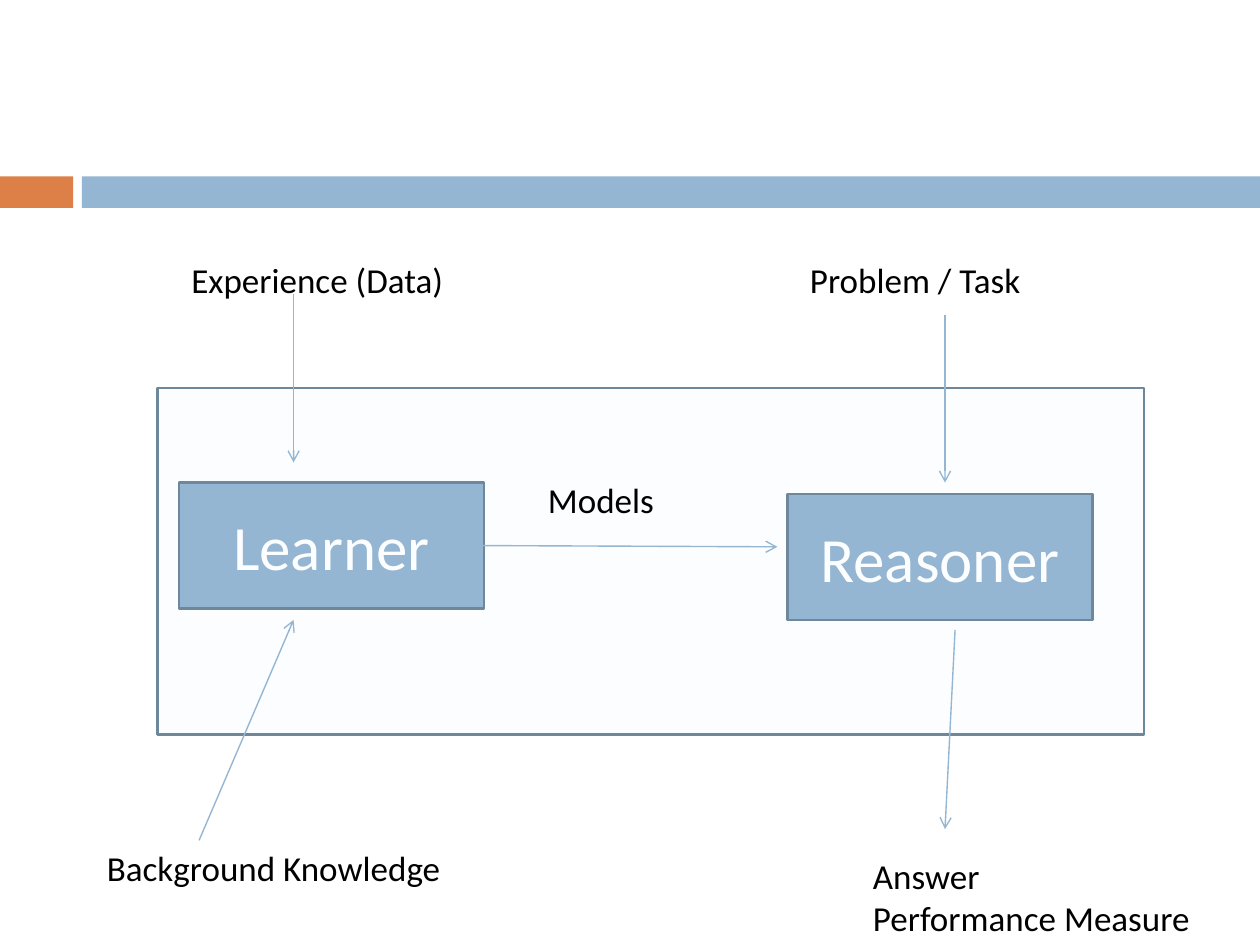
from lxml import etree
from pptx import Presentation
from pptx.dml.color import RGBColor
from pptx.enum.shapes import MSO_CONNECTOR, MSO_SHAPE
from pptx.enum.text import MSO_ANCHOR, MSO_AUTO_SIZE, PP_ALIGN
from pptx.oxml.ns import qn
from pptx.util import Inches, Pt

FONT = "Calibri"
COLORS = {"blue": "94B6D2", "edge": "6D879B", "orange": "DD8047",
          "white": "FFFFFF", "black": "000000"}

# Lengths in inches: left, top, width, height
BANDS = [("orange", (0, 1.4, 0.58, 0.25)), ("blue", (0.65, 1.4, 9.35, 0.25))]
SYSTEM_FRAME = (1.25, 3.08, 7.83, 2.75)
FRAME_OPACITY = 2  # percent
PROCESS_SIZE = (2.42, 1)
PROCESSES = [("Learner", (1.42, 3.83)), ("Reasoner", (6.25, 3.92))]
LABELS = [
    ("Experience (Data)", (1.42, 2, 2.42, 0.44)),
    ("Problem / Task", (6.33, 2, 2.08, 0.44)),
    ("Answer\nPerformance Measure", (6.83, 6.73, 2.92, 0.77)),
    ("Background Knowledge", (0.75, 6.67, 3.17, 0.44)),
    ("Models", (4.25, 3.75, 1.75, 0.44)),
]
ARROWS = [  # start, end
    ((2.33, 2.33), (2.33, 3.67)),  # experience to learner
    ((7.5, 2.5), (7.5, 3.83)),     # problem to reasoner
    ((1.58, 6.67), (2.33, 4.92)),  # background to learner
    ((7.58, 5), (7.5, 6.58)),      # reasoner to answer
    ((3.83, 4.33), (6.17, 4.34)),  # learner to reasoner
]


def rgb(name):
    return RGBColor.from_string(COLORS[name])


def inches(values):
    return [Inches(value) for value in values]


def add_block(page, kind, place, fill, edge=None):
    block = page.shapes.add_shape(kind, *inches(place))
    block.shadow.inherit = False
    block.fill.solid()
    block.fill.fore_color.rgb = rgb(fill)
    if edge:
        block.line.color.rgb = rgb(edge)
        block.line.width = Pt(1.5)
    else:
        block.line.fill.background()
    return block


def write(box, text, size, color, align=PP_ALIGN.LEFT):
    frame = box.text_frame
    frame.text = text
    frame.word_wrap = True
    for para in frame.paragraphs:
        para.alignment = align
        for span in para.runs:
            span.font.name = FONT
            span.font.size = Pt(size)
            span.font.color.rgb = rgb(color)


def add_arrow(page, start, end):
    arrow = page.shapes.add_connector(
        MSO_CONNECTOR.STRAIGHT, *inches(start + end))
    arrow.line.color.rgb = rgb("blue")
    arrow.line.width = Pt(0.79)
    etree.SubElement(arrow.line._get_or_add_ln(), qn("a:tailEnd"), type="arrow")
    etree.SubElement(arrow._element.spPr, qn("a:effectLst"))


def main():
    deck = Presentation()
    deck.slide_width, deck.slide_height = Inches(10), Inches(7.5)
    page = deck.slides.add_slide(deck.slide_layouts[6])

    for color, place in BANDS:
        add_block(page, MSO_SHAPE.RECTANGLE, place, color)

    for name, corner in PROCESSES:
        process = add_block(page, MSO_SHAPE.FLOWCHART_PROCESS,
                            corner + PROCESS_SIZE, "blue", "edge")
        write(process, name, 36, "white", PP_ALIGN.CENTER)
        process.text_frame.vertical_anchor = MSO_ANCHOR.MIDDLE

    system = add_block(page, MSO_SHAPE.ACTION_BUTTON_CUSTOM,
                       SYSTEM_FRAME, "blue", "edge")
    tint = system._element.spPr.find(qn("a:solidFill"))[0]
    etree.SubElement(tint, qn("a:alpha"), val=str(FRAME_OPACITY * 1000))

    for start, end in ARROWS:
        add_arrow(page, start, end)

    for text, place in LABELS:
        label = page.shapes.add_textbox(*inches(place))
        write(label, text, 20, "black")
        label.text_frame.auto_size = MSO_AUTO_SIZE.SHAPE_TO_FIT_TEXT

    deck.save("out.pptx")


if __name__ == "__main__":
    main()
